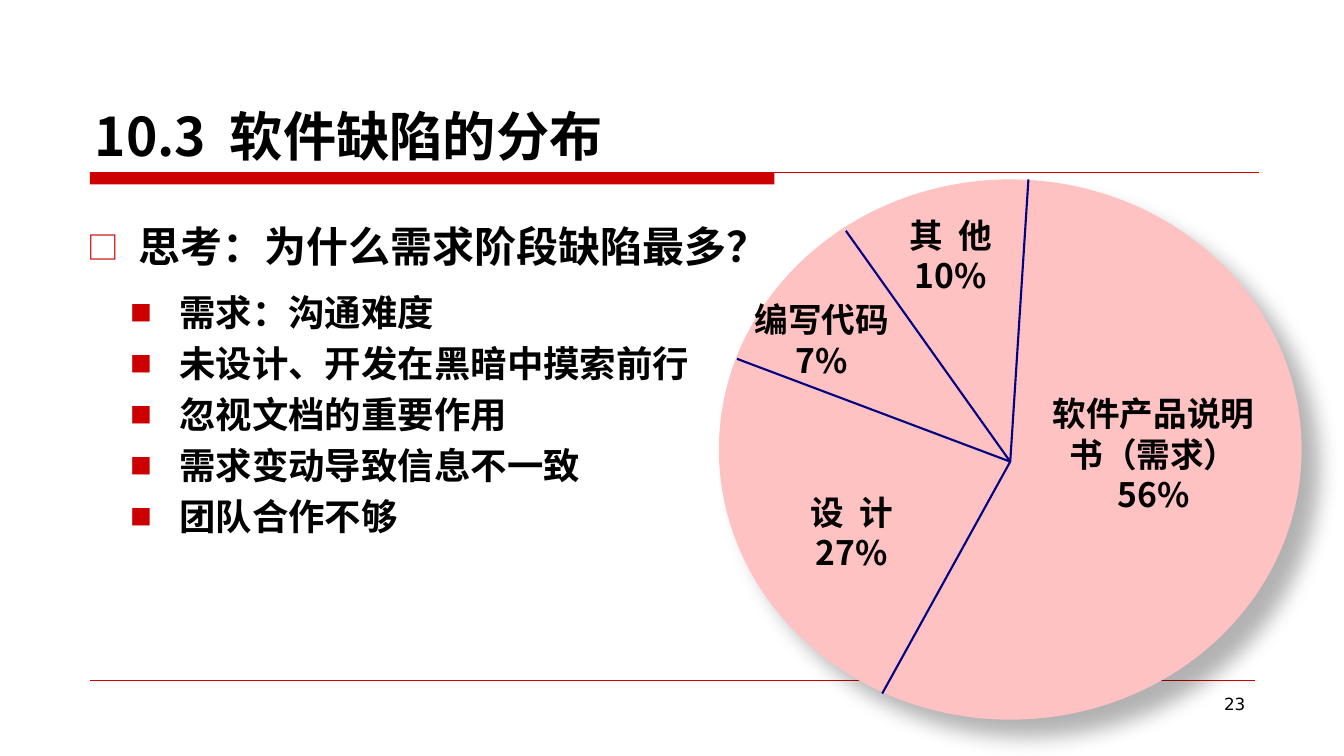
import pptx
import pptx.util
import pptx.dml.color
import pptx.enum.shapes
import pptx.enum.text
import pptx.oxml.ns
from dataclasses import dataclass
from lxml import etree

Inches = pptx.util.Inches
Pt = pptx.util.Pt
ALIGN = pptx.enum.text.PP_ALIGN
SHAPE = pptx.enum.shapes.MSO_SHAPE


@dataclass(frozen=True)
class Theme:
    red: str = "CC0000"
    pink: str = "FFC2C2"
    navy: str = "000080"
    ink: str = "000000"
    font: str = "Noto Sans CJK SC"
    plain: str = "DejaVu Sans"
    title: int = 38
    lead: int = 30
    item: int = 26
    label: int = 24
    page: int = 12
    lead_mark: int = 75  # bullet size in percent
    item_mark: int = 60
    ratio: float = 1.2  # line height to type size


THEME = Theme()


def rgb(code):
    return pptx.dml.color.RGBColor.from_string(code)


def node(parent, tag, **attrs):
    child = etree.SubElement(parent, pptx.oxml.ns.qn(tag))
    for key, value in attrs.items():
        child.set(key, str(value))
    return child


def add_run(para, text, size, font, bold):
    run = para.add_run()
    run.text = text
    run.font.size = Pt(size)
    run.font.bold = bold
    run.font.name = font
    run.font.color.rgb = rgb(THEME.ink)
    props = run.font._element
    node(props, "a:ea", typeface=font)
    if text == " ":  # widen the gap between words
        props.set("spc", str(round(size * 22)))


def add_mark(para, mark, scale, indent, hang):
    props = para._p.get_or_add_pPr()
    props.set("marL", str(Inches(indent)))
    props.set("indent", str(-Inches(hang)))
    node(node(props, "a:buClr"), "a:srgbClr", val=THEME.red)
    node(props, "a:buSzPct", val=scale * 1000)
    node(props, "a:buFont", typeface=THEME.font)
    node(props, "a:buChar", char=mark)


def add_text(slide, box, lines, size, align=ALIGN.LEFT, font=THEME.font,
             bold=True, inset=True, base=False, mark=None):
    shape = slide.shapes.add_textbox(*map(Inches, box))
    frame = shape.text_frame
    frame.word_wrap = True
    if base:
        frame.vertical_anchor = pptx.enum.text.MSO_ANCHOR.BOTTOM
    if not inset:
        frame.margin_left = frame.margin_right = 0
        frame.margin_top = frame.margin_bottom = 0
    for i, line in enumerate(lines):
        para = frame.add_paragraph() if i else frame.paragraphs[0]
        para.alignment = align
        para.line_spacing = Pt(size * THEME.ratio)
        if mark:
            add_mark(para, *mark)
            if i:
                para.space_before = Pt(size * 0.2)
        head, gap, tail = line.partition(" ")
        for part in (head, gap, tail):
            if part:
                add_run(para, part, size, font, bold)


def add_line(slide, start, end, color, width):
    line = slide.shapes.add_connector(
        pptx.enum.shapes.MSO_CONNECTOR.STRAIGHT,
        *map(Inches, (*start, *end)))
    line.line.color.rgb = rgb(color)
    line.line.width = Pt(width)
    node(line._element.spPr, "a:effectLst")


def add_fill(slide, kind, box, color):
    shape = slide.shapes.add_shape(kind, *map(Inches, box))
    shape.shadow.inherit = False
    shape.fill.solid()
    shape.fill.fore_color.rgb = rgb(color)
    shape.line.fill.background()
    return shape


def add_shade(shape):
    effect = shape._element.spPr.find(pptx.oxml.ns.qn("a:effectLst"))
    shade = node(effect, "a:outerShdw", blurRad=Pt(15), dist=Pt(18),
                 dir=45 * 60000, algn="tl", rotWithShape=0)
    color = node(shade, "a:srgbClr", val=THEME.ink)
    node(color, "a:alpha", val=30000)


def add_pie(slide):
    disc = add_fill(slide, SHAPE.OVAL, (7.13, 1.78, 5.78, 5.36), THEME.pink)
    add_shade(disc)
    hub = (10.02, 4.58)
    for rim in ((10.2, 1.78), (8.75, 6.88), (7.31, 3.56), (8.39, 2.29)):
        add_line(slide, hub, rim, THEME.navy, 1.5)
    # Sector labels: centre, top, width, lines
    labels = (
        (9.43, 2.13, 0.9, ("其 他", "10%")),
        (11.44, 3.9, 2.27, ("软件产品说明书（需求）", "56%")),
        (8.15, 2.97, 1.63, ("编写代码", "7%")),
        (8.45, 4.88, 0.9, ("设 计", "27%")),
    )
    for mid, top, wide, lines in labels:
        add_text(slide, (mid - wide / 2, top, wide, 1), lines, THEME.label,
                 ALIGN.CENTER, inset=False)


def main():
    deck = pptx.Presentation()
    deck.slide_width = Inches(13.33)
    deck.slide_height = Inches(7.5)
    slide = deck.slides.add_slide(deck.slide_layouts[6])

    # Rules and page number
    add_fill(slide, SHAPE.RECTANGLE, (0.89, 1.71, 6.79, 0.12), THEME.red)
    add_line(slide, (0.89, 1.71), (12.49, 1.71), THEME.red, 0.75)
    add_line(slide, (0.89, 6.75), (12.45, 6.75), THEME.red, 0.25)
    add_text(slide, (9.56, 6.83, 2.89, 0.52), ["23"], THEME.page,
             ALIGN.RIGHT, THEME.plain, bold=False)

    # Defect shares
    add_pie(slide)

    # Title and reasons
    add_text(slide, (0.84, 0.38, 11.67, 1.33), ["10.3 软件缺陷的分布"],
             THEME.title, base=True)
    add_text(slide, (0.77, 2.14, 7.2, 0.6),
             ["思考：为什么需求阶段缺陷最多？"], THEME.lead,
             mark=("□", THEME.lead_mark, 0.51, 0.51))
    reasons = ("需求：沟通难度", "未设计、开发在黑暗中摸索前行",
               "忽视文档的重要作用", "需求变动导致信息不一致", "团队合作不够")
    add_text(slide, (0.69, 2.83, 6.44, 3.18), reasons, THEME.item,
             mark=("■", THEME.item_mark, 0.99, 0.48))

    deck.save("out.pptx")


if __name__ == "__main__":
    main()
